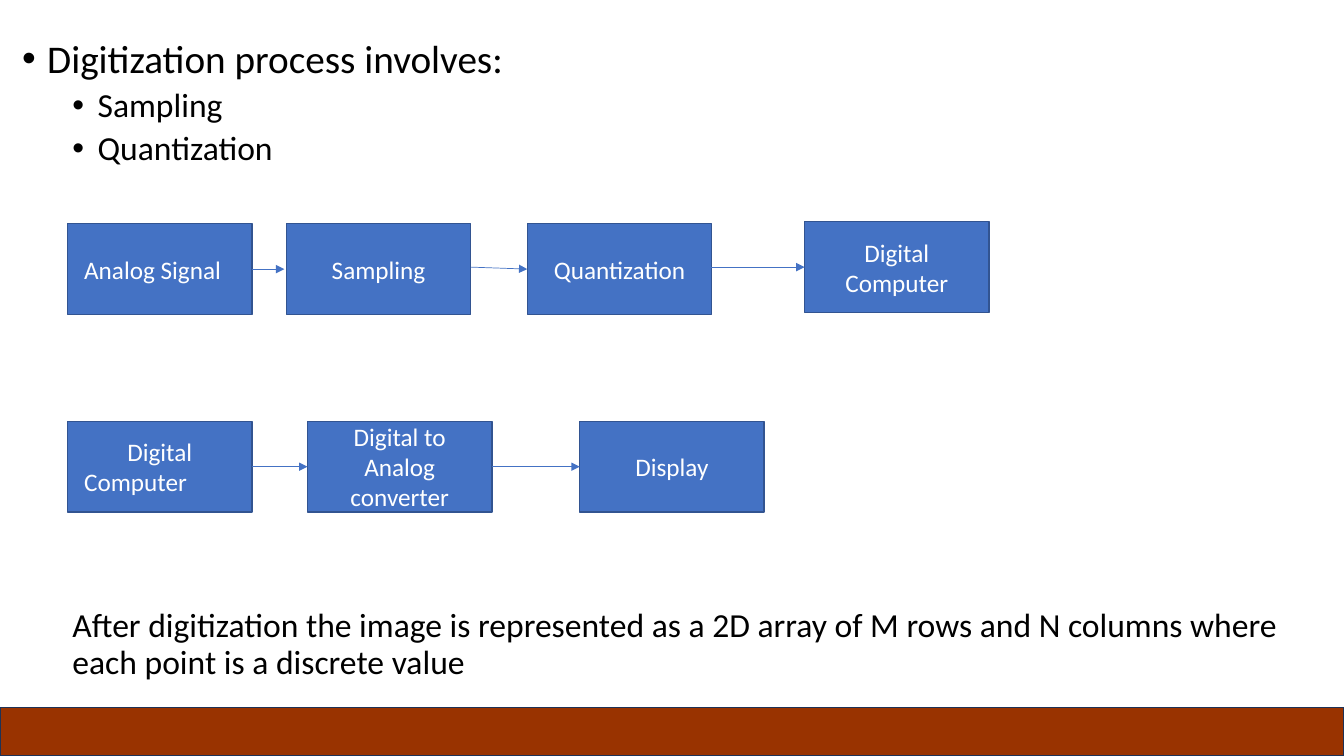
from lxml import etree
from pptx import Presentation
from pptx.dml.color import RGBColor
from pptx.enum import shapes, text
from pptx.oxml.ns import qn
from pptx.util import Inches, Pt

THEME = {
    "font": "Calibri", "ink": "000000", "light": "FFFFFF",
    "box": "4472C4", "edge": "325491", "bar": "993300", "rim": "1E3256",
    "head": 28, "body": 24, "label": 18,
}

# text, size, left margin, hanging indent, space before, bullet
BULLETS = [
    ("Digitization process involves:", "head", 0.25, -0.25, 0, "•"),
    ("Sampling", "body", 0.75, -0.25, 5, "•"),
    ("Quantization", "body", 0.75, -0.25, 5, "•"),
]
CLOSING = [
    ("After digitization the image is represented as a 2D array of M rows "
     "and N columns where each point is a discrete value",
     "body", 0.5, 0, 0, None),
]

BOX_W, BOX_H = 1.83, 0.9
# label, left, top; a trailing tab pushes the last line to the left edge
STAGES = [
    ("Analog Signal\t", 0.67, 2.22),
    ("Sampling", 2.84, 2.22),
    ("Quantization", 5.23, 2.22),
    ("Digital Computer", 7.98, 2.2),
    ("Digital Computer\t", 0.67, 4.18),
    ("Digital to Analog converter", 3.05, 4.18),
    ("Display", 5.75, 4.18),
]
# start x, start y, end x, end y
ARROWS = [
    (2.5, 2.67, 2.82, 2.67),
    (4.67, 2.65, 5.23, 2.67),
    (6.98, 2.65, 7.98, 2.65),
    (2.5, 4.63, 3.05, 4.63),
    (4.88, 4.63, 5.75, 4.63),
]


def color(name):
    return RGBColor.from_string(THEME[name])


def write(para, words, size, ink):
    run = para.add_run()
    run.text = words
    run.font.name = THEME["font"]
    run.font.size = Pt(THEME[size])
    run.font.color.rgb = color(ink)


def add_copy(slide, rows, left, top, width, height):
    """Add a text box of indented, optionally bulleted paragraphs."""
    frame = slide.shapes.add_textbox(*map(Inches, (left, top, width, height))).text_frame
    frame.word_wrap = True
    for i, (words, size, margin, indent, before, mark) in enumerate(rows):
        para = frame.add_paragraph() if i else frame.paragraphs[0]
        props = para._p.get_or_add_pPr()
        props.set("marL", str(Inches(margin)))
        props.set("indent", str(Inches(indent)))
        if mark:
            etree.SubElement(props, qn("a:buFont"), typeface="Arial")
            etree.SubElement(props, qn("a:buChar"), char=mark)
        para.line_spacing = 0.9
        para.space_before = Pt(before)
        write(para, words, size, "ink")


def add_rect(slide, left, top, width, height, fill, edge):
    rect = slide.shapes.add_shape(
        shapes.MSO_SHAPE.RECTANGLE, *map(Inches, (left, top, width, height)))
    rect.shadow.inherit = False
    rect.fill.solid()
    rect.fill.fore_color.rgb = color(fill)
    rect.line.color.rgb = color(edge)
    rect.line.width = Pt(1)
    return rect


def add_stage(slide, label, left, top):
    frame = add_rect(slide, left, top, BOX_W, BOX_H, "box", "edge").text_frame
    frame.word_wrap = True
    frame.vertical_anchor = text.MSO_ANCHOR.MIDDLE
    para = frame.paragraphs[0]
    para.alignment = text.PP_ALIGN.CENTER
    write(para, label, "label", "light")


def add_arrow(slide, ends):
    arrow = slide.shapes.add_connector(
        shapes.MSO_CONNECTOR.STRAIGHT, *map(Inches, ends))
    arrow.line.color.rgb = color("box")
    arrow.line.width = Pt(0.5)
    etree.SubElement(arrow.line._get_or_add_ln(), qn("a:tailEnd"), type="triangle")
    etree.SubElement(arrow._element.spPr, qn("a:effectLst"))


def main():
    deck = Presentation()
    deck.slide_width, deck.slide_height = Inches(13.33), Inches(7.5)
    slide = deck.slides.add_slide(deck.slide_layouts[6])
    add_copy(slide, BULLETS, 0.12, 0.34, 13.21, 1.5)
    add_copy(slide, CLOSING, 0.12, 5.99, 13.21, 0.9)
    for stage in STAGES:
        add_stage(slide, *stage)
    for ends in ARROWS:
        add_arrow(slide, ends)
    add_rect(slide, 0, 7.02, 13.33, 0.48, "bar", "rim")
    deck.save("out.pptx")


if __name__ == "__main__":
    main()
